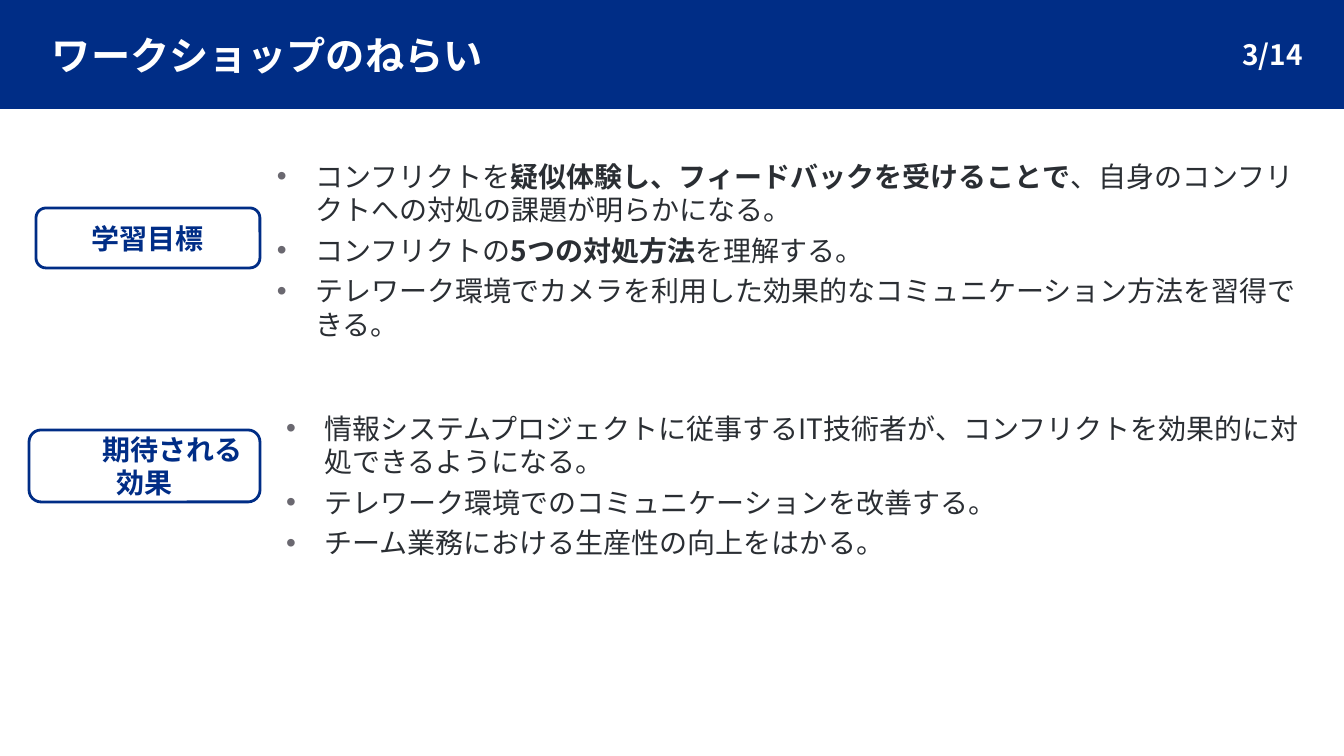
"""Build the workshop aims slide with two labelled bullet lists."""
from lxml import etree
from pptx import Presentation
from pptx import util as u
from pptx.dml.color import RGBColor
from pptx.enum import shapes, text
from pptx.oxml import ns

TITLE = "ワークショップのねらい"
PAGE = "3/14"
SECTIONS = [
    {
        "label": "学習目標", "label_box": (36, 208, 224, 60), "label_indent": 0,
        "list_box": (226, 159, 1072, 167),
        "points": [
            [("コンフリクトを", False),
             ("疑似体験し、フィードバックを受けることで", True),
             ("、自身のコンフリクトへの対処の課題が明らかになる。", False)],
            [("コンフリクトの", False), ("5つの対処方法", True), ("を理解する。", False)],
            [("テレワーク環境でカメラを利用した効果的なコミュニケーション方法を習得できる。", False)],
        ],
    },
    {
        "label": "期待される効果", "label_box": (29, 430, 231, 72), "label_indent": 56,
        "list_box": (235, 411, 1079, 157),
        "points": [
            [("情報システムプロジェクトに従事するIT技術者が、コンフリクトを効果的に対処できるようになる。", False)],
            [("テレワーク環境でのコミュニケーションを改善する。", False)],
            [("チーム業務における生産性の向上をはかる。", False)],
        ],
    },
]
COLORS = {"navy": "002D86", "white": "FFFFFF", "ink": "2A2E33", "bullet": "6A6870"}
FONT = "Noto Sans CJK JP"
WIDTH, HEIGHT, BAND_HEIGHT = 1344, 756, 108
LIST_MARGIN, LIST_HANG = 89, -38


def px(length):
    return u.Emu(round(length * 914400 / 100.8))


def color(name):
    return RGBColor.from_string(COLORS[name])


def place(part, box):
    part.left, part.top, part.width, part.height = map(px, box)


def set_frame(part, insets=(0, 0, 0, 0), anchor=text.MSO_ANCHOR.MIDDLE):
    frame = part.text_frame
    frame.word_wrap = True
    frame.auto_size = text.MSO_AUTO_SIZE.NONE
    frame.vertical_anchor = anchor
    (frame.margin_left, frame.margin_top,
     frame.margin_right, frame.margin_bottom) = map(px, insets)
    return frame


def write(paragraph, words, size=20, ink="ink", bold=False, align=text.PP_ALIGN.LEFT):
    paragraph.alignment = align
    run = paragraph.add_run()
    run.text = words
    run.font.size, run.font.bold, run.font.name = u.Pt(size), bold, FONT
    run.font.color.rgb = color(ink)
    props = run.font._element
    props.set("lang", "ja-JP")
    etree.SubElement(props, ns.qn("a:ea"), typeface=FONT)


def set_indent(paragraph, margin, first):
    props = paragraph._p.get_or_add_pPr()
    props.set("marL", str(px(margin)))
    props.set("indent", str(px(first)))
    return props


def add_bullet(paragraph):
    paragraph.level = 1
    paragraph.space_before = u.Pt(5)
    props = set_indent(paragraph, LIST_MARGIN, LIST_HANG)
    tint = etree.SubElement(props, ns.qn("a:buClr"))
    etree.SubElement(tint, ns.qn("a:srgbClr"), val=COLORS["bullet"])
    etree.SubElement(props, ns.qn("a:buFont"), typeface="Arial")
    etree.SubElement(props, ns.qn("a:buChar"), char="•")


def add_box(slide, kind, box, line_width, fill=None):
    part = slide.shapes.add_shape(kind, *map(px, box))
    part.shadow.inherit = False
    part.line.color.rgb = color("navy")
    part.line.width = u.Pt(line_width)
    if fill:
        part.fill.solid()
        part.fill.fore_color.rgb = color(fill)
    else:
        part.fill.background()
    return part


def main():
    deck = Presentation()
    deck.slide_width, deck.slide_height = px(WIDTH), px(HEIGHT)
    slide = deck.slides.add_slide(deck.slide_layouts[3])
    heading, *lists = slide.placeholders

    band = add_box(slide, shapes.MSO_SHAPE.RECTANGLE, (0, 0, WIDTH, BAND_HEIGHT), 1, "navy")
    slide.shapes._spTree.insert(2, band._element)

    place(heading, (52, 24, 1113, 60))
    title = set_frame(heading, (0, 8, 0, 0)).paragraphs[0]
    title.line_spacing = 0.9
    write(title, TITLE, size=28, ink="white", bold=True)

    counter = slide.shapes.add_textbox(*map(px, (1166, 24, 147, 60)))
    page = set_frame(counter, (10, 5, 10, 5)).paragraphs[0]
    write(page, PAGE, ink="white", bold=True, align=text.PP_ALIGN.RIGHT)

    for section, points_area in zip(SECTIONS, lists):
        place(points_area, section["list_box"])
        frame = set_frame(points_area, anchor=text.MSO_ANCHOR.TOP)
        for index, point in enumerate(section["points"]):
            paragraph = frame.add_paragraph() if index else frame.paragraphs[0]
            add_bullet(paragraph)
            for words, bold in point:
                write(paragraph, words, bold=bold)

        badge = add_box(slide, shapes.MSO_SHAPE.ROUNDED_RECTANGLE, section["label_box"], 2)
        label = set_frame(badge, (10, 5, 10, 5)).paragraphs[0]
        set_indent(label, 0, section["label_indent"])
        write(label, section["label"], ink="navy", bold=True, align=text.PP_ALIGN.CENTER)

    deck.save("out.pptx")


if __name__ == "__main__":
    main()
